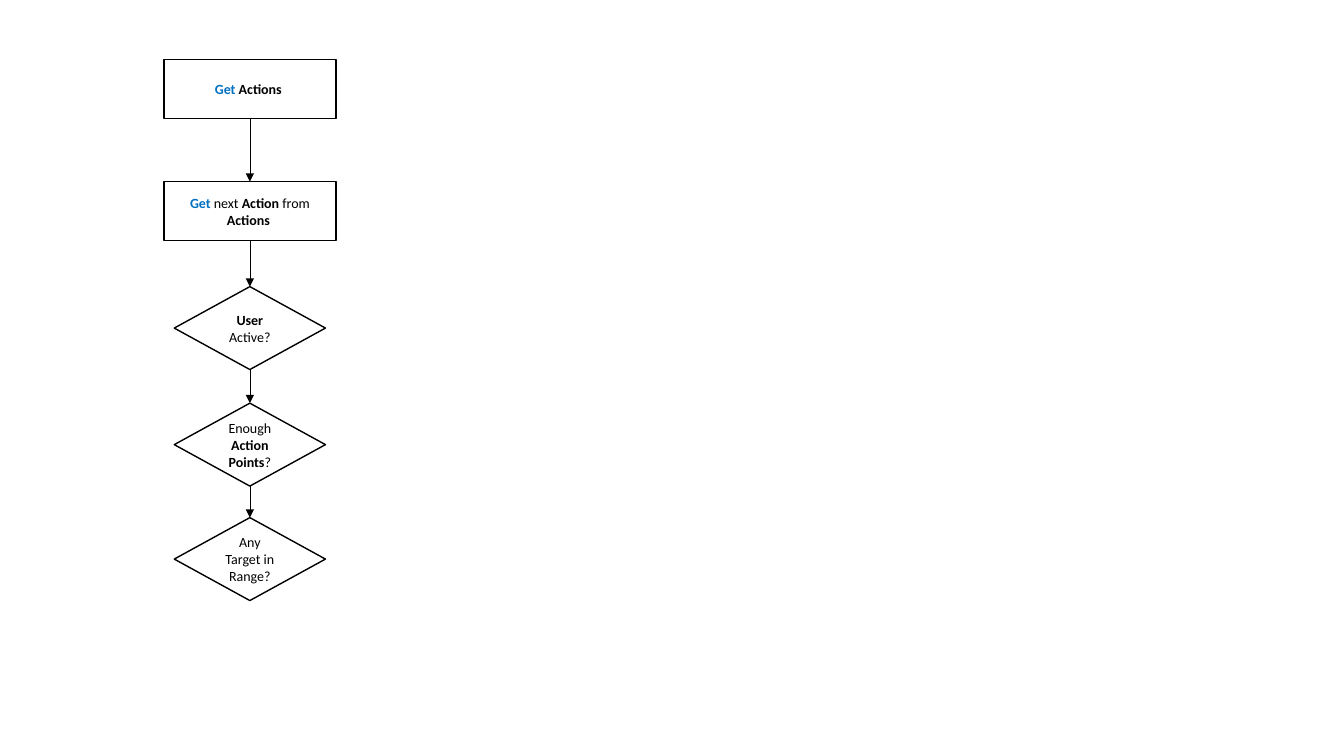
import pptx
import pptx.util
import pptx.dml.color
import pptx.enum.shapes
import pptx.enum.text
import pptx.oxml
import pptx.oxml.ns

PX = 9525  # EMU per px, 96 px to the inch
THEME = {
    "ink": pptx.dml.color.RGBColor.from_string("000000"),
    "verb": pptx.dml.color.RGBColor.from_string("0070C0"),
    "paper": pptx.dml.color.RGBColor.from_string("FFFFFF"),
    "font": "Calibri",
    "text": pptx.util.Pt(10),
    "outline": pptx.util.Pt(1),
    "arrow": pptx.util.Pt(0.5),
}
SHAPE = pptx.enum.shapes.MSO_SHAPE
CENTER_X = 238

# Run styles: colour key and weight
PLAIN = {"color": "ink", "bold": False}
BOLD = {"color": "ink", "bold": True}
VERB = {"color": "verb", "bold": True}

# Step kinds: preset shape, width, height
ACTION = (SHAPE.RECTANGLE, 164, 56)
DECISION = (SHAPE.FLOWCHART_DECISION, 144, 79)

# Steps from top to bottom: kind, top, runs
STEPS = [
    (ACTION, 57, [("Get ", VERB), ("Actions ", BOLD)]),
    (ACTION, 173, [("Get ", VERB), ("next ", PLAIN), ("Action ", BOLD),
                   ("from ", PLAIN), ("Actions ", BOLD)]),
    (DECISION, 273, [("User", BOLD), (" Active?", PLAIN)]),
    (DECISION, 384, [("Enough ", PLAIN), ("Action Points", BOLD), ("?", PLAIN)]),
    (DECISION, 493, [("Any Target in Range?", PLAIN)]),
]

prs = pptx.Presentation()
prs.slide_width = 1280 * PX
prs.slide_height = 720 * PX
s = prs.slides.add_slide(prs.slide_layouts[6])

# Flowchart steps
steps = []
for (preset, width, height), top, runs in STEPS:
    sp = s.shapes.add_shape(preset, (CENTER_X - width // 2) * PX, top * PX,
                            width * PX, height * PX)
    sp.shadow.inherit = False
    sp.fill.solid()
    sp.fill.fore_color.rgb = THEME["paper"]
    sp.line.color.rgb = THEME["ink"]
    sp.line.width = THEME["outline"]
    tf = sp.text_frame
    tf.word_wrap = True
    tf.vertical_anchor = pptx.enum.text.MSO_ANCHOR.MIDDLE
    p = tf.paragraphs[0]
    p.alignment = pptx.enum.text.PP_ALIGN.CENTER
    for text, style in runs:
        r = p.add_run()
        r.text = text
        font_format = {"name": THEME["font"], "size": THEME["text"], "bold": style["bold"]}
        for name, value in font_format.items():
            setattr(r.font, name, value)
        r.font.color.rgb = THEME[style["color"]]
    steps.append(sp)

# Arrows from the bottom of each step to the top of the next
for upper, lower in zip(steps, steps[1:]):
    arrow = s.shapes.add_connector(pptx.enum.shapes.MSO_CONNECTOR.STRAIGHT, 0, 0, 0, 0)
    arrow.begin_connect(upper, 2)
    arrow.end_connect(lower, 0)
    arrow.line.color.rgb = THEME["ink"]
    arrow.line.width = THEME["arrow"]
    ns = pptx.oxml.ns.nsdecls("a")
    arrow.line._get_or_add_ln().append(
        pptx.oxml.parse_xml(f'<a:tailEnd {ns} type="triangle"/>'))
    arrow._element.spPr.append(pptx.oxml.parse_xml(f"<a:effectLst {ns}/>"))

prs.save("out.pptx")
